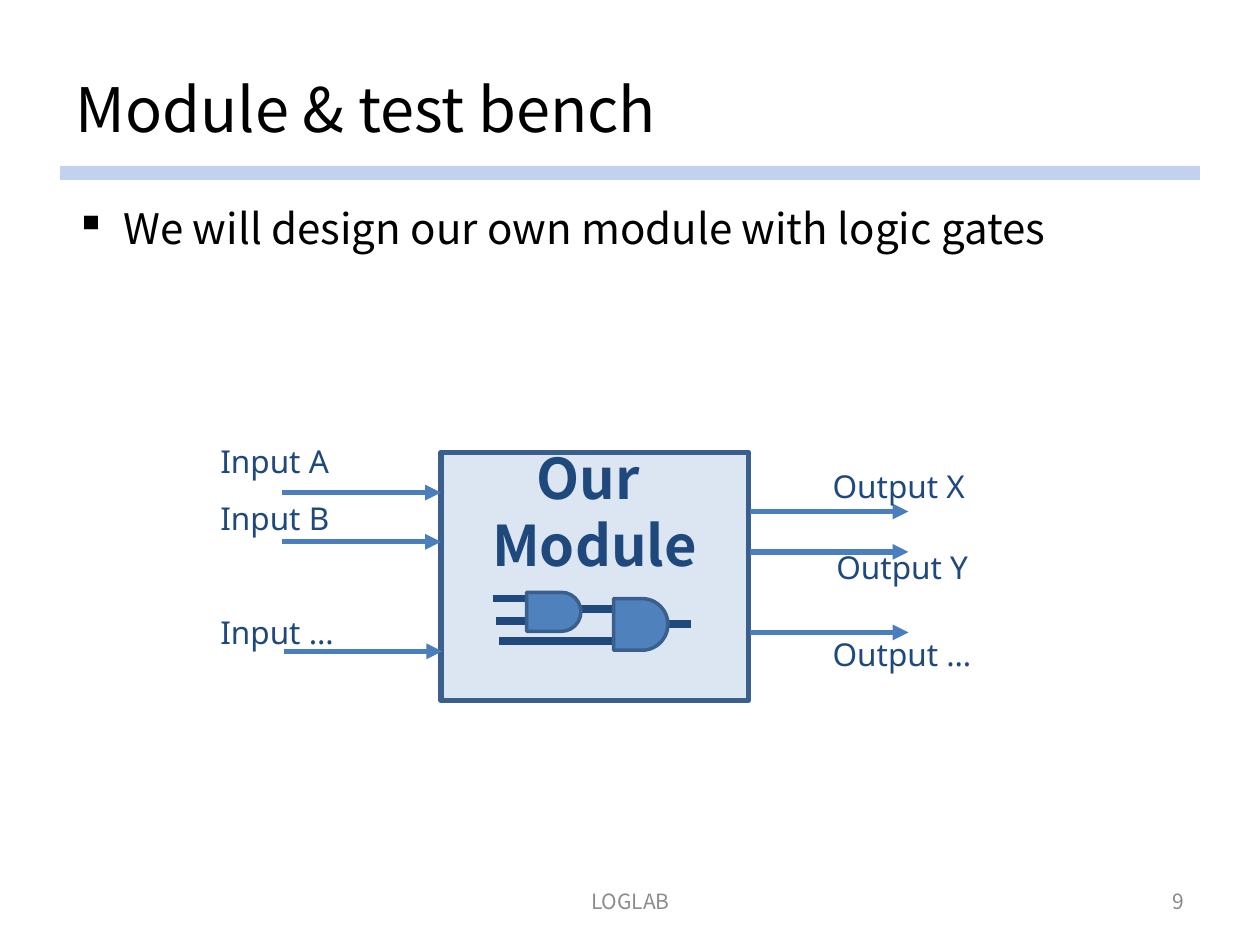
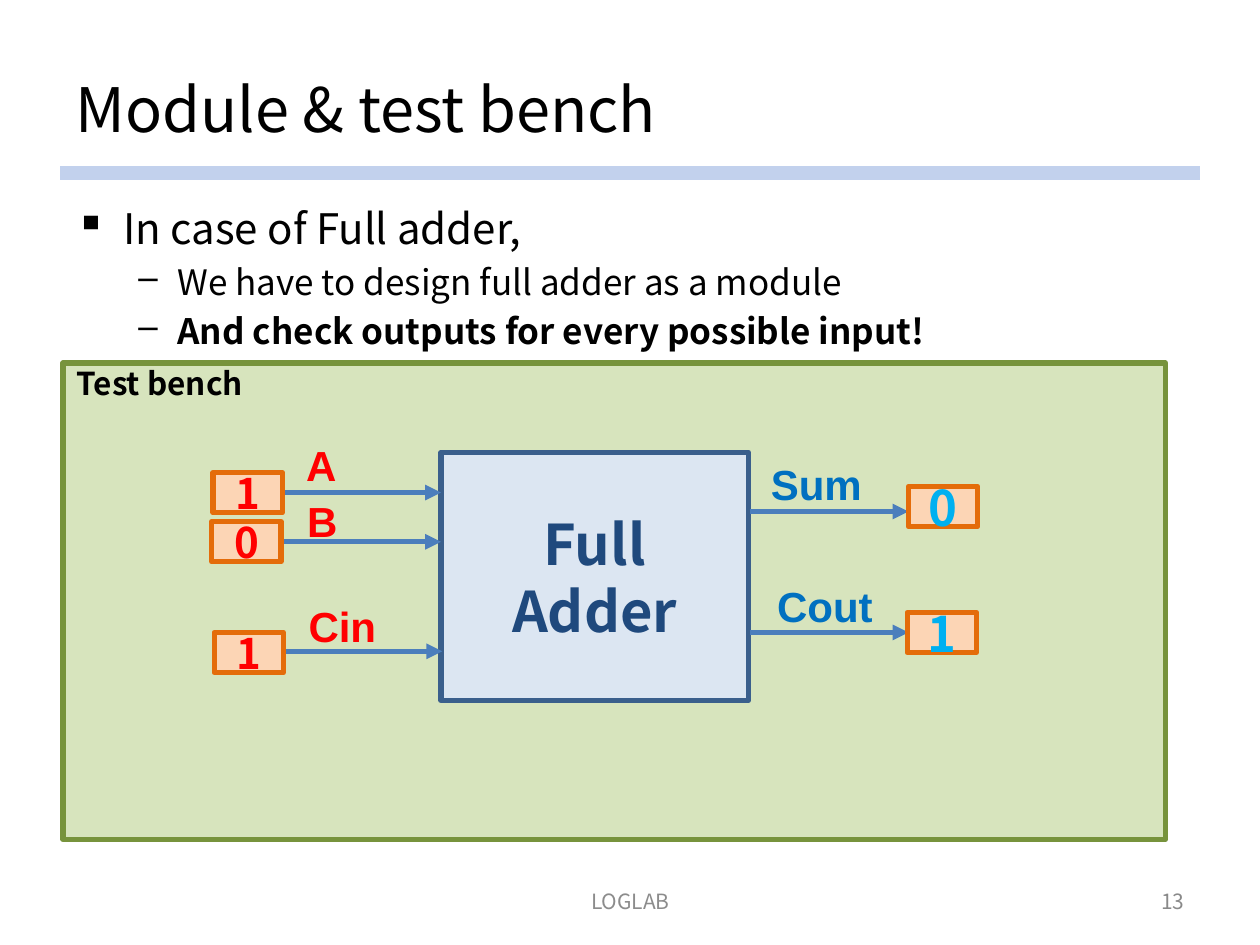
"""Build two slides on logic modules and their test bench."""
from lxml import etree
from pptx import Presentation
from pptx.dml.color import RGBColor
from pptx.enum.shapes import MSO_CONNECTOR, MSO_SHAPE
from pptx.enum.text import MSO_ANCHOR, PP_ALIGN
from pptx.oxml.ns import qn
from pptx.util import Pt

RECT, GATE = MSO_SHAPE.RECTANGLE, MSO_SHAPE.ROUND_2_SAME_RECTANGLE
STRAIGHT = MSO_CONNECTOR.STRAIGHT
TOP, MIDDLE = MSO_ANCHOR.TOP, MSO_ANCHOR.MIDDLE
LEFT, CENTER, RIGHT = PP_ALIGN.LEFT, PP_ALIGN.CENTER, PP_ALIGN.RIGHT

BLACK = RGBColor(0x00, 0x00, 0x00)
GRAY = RGBColor(0x8C, 0x8C, 0x8C)
SILVER = RGBColor(0x89, 0x89, 0x89)
PALE = RGBColor(0xC2, 0xD1, 0xED)
ICE = RGBColor(0xDC, 0xE6, 0xF2)
STEEL = RGBColor(0x3A, 0x5F, 0x8C)
NAVY = RGBColor(0x1F, 0x49, 0x7D)
BLUE = RGBColor(0x4B, 0x7E, 0xBC)
MID = RGBColor(0x4F, 0x81, 0xBD)
SEA = RGBColor(0x00, 0x70, 0xC0)
SKY = RGBColor(0x00, 0xB0, 0xF0)
RED = RGBColor(0xFF, 0x00, 0x00)
PEACH = RGBColor(0xFC, 0xD5, 0xB5)
ORANGE = RGBColor(0xE4, 0x6C, 0x0A)
LIME = RGBColor(0xD7, 0xE4, 0xBD)
GREEN = RGBColor(0x77, 0x93, 0x3C)

MAIN = "Noto Sans CJK KR"
HEAD = {"name": MAIN, "size": Pt(35)}
FOOT = {"name": MAIN, "size": Pt(12)}
BODY = {"name": MAIN, "size": Pt(24)}
SUB = {"name": MAIN, "size": Pt(20)}
STRONG = {**SUB, "bold": True}
BENCH = {"name": MAIN, "size": Pt(18), "bold": True}
BLOCK = {"name": MAIN, "size": Pt(32), "bold": True}
BIT_IN = {"name": MAIN, "size": Pt(24), "bold": True}
BIT_OUT = {**BIT_IN, "size": Pt(28)}
PORT = {"name": "Noto Sans", "size": Pt(18)}
PIN = {"name": "Arial", "size": Pt(24), "bold": True}

# Bullet mark, left margin and hanging indent by level.
MARKS = (("\u25aa", 27.4, 27.4), ("\u2013", 58.3, 22.3))
INPUTS = ((161.3, 281.5), (161.3, 309.6), (162, 372.2))
SUM_Y, SPARE_Y, COUT_Y = 292.3, 315.4, 361.4
REACH = 90.7


def place(shape, box):
    """Set the left, top, width and height of a shape."""
    for name, val in zip(("left", "top", "width", "height"), box):
        setattr(shape, name, Pt(val))


def style(run, fmt, color):
    """Give a run its font values and colour."""
    for name, val in fmt.items():
        setattr(run.font, name, val)
    run.font.color.rgb = color


def write(shape, lines, fmt, color, align=LEFT, anchor=TOP):
    """Fill a shape with lines of text in one style."""
    frame = shape.text_frame
    frame.word_wrap = True
    frame.vertical_anchor = anchor
    for i, line in enumerate(lines):
        para = frame.add_paragraph() if i else frame.paragraphs[0]
        para.alignment = align
        run = para.add_run()
        run.text = line
        style(run, fmt, color)


def label(slide, text, box, fmt, color, align=LEFT, anchor=TOP):
    """Add a text box of one line."""
    shape = slide.shapes.add_textbox(*map(Pt, box))
    write(shape, [text], fmt, color, align, anchor)


def panel(slide, box, fill, edge, width=3, kind=RECT):
    """Add a filled and outlined shape."""
    shape = slide.shapes.add_shape(kind, *map(Pt, box))
    shape.shadow.inherit = False
    shape.fill.solid()
    shape.fill.fore_color.rgb = fill
    shape.line.color.rgb = edge
    shape.line.width = Pt(width)
    return shape


def stroke(slide, x, y, end, color, width, arrow=False):
    """Add a level line, with an arrowhead on demand."""
    line = slide.shapes.add_connector(STRAIGHT, Pt(x), Pt(y), Pt(end), Pt(y))
    line.line.color.rgb = color
    line.line.width = Pt(width)
    props = line.element.spPr
    if arrow:
        etree.SubElement(props.find(qn("a:ln")), qn("a:tailEnd"), type="triangle")
    etree.SubElement(props, qn("a:effectLst"))


def arrows(slide, starts):
    """Add signal arrows of equal reach."""
    for x, y in starts:
        stroke(slide, x, y, x + REACH, BLUE, 3, arrow=True)


def points(slide, items):
    """Add the bulleted body text."""
    frame = slide.shapes.add_textbox(Pt(36), Pt(112.3), Pt(648), Pt(376.6)).text_frame
    frame.word_wrap = True
    for i, (level, text, fmt) in enumerate(items):
        para = frame.add_paragraph() if i else frame.paragraphs[0]
        mark, left, hang = MARKS[level]
        para.level = level
        para.space_before = Pt(fmt["size"].pt * 0.2)
        props = para._p.get_or_add_pPr()
        props.set("marL", str(Pt(left)))
        props.set("indent", str(-Pt(hang)))
        etree.SubElement(props, qn("a:buChar"), char=mark)
        run = para.add_run()
        run.text = text
        style(run, fmt, BLACK)


def start(deck, number):
    """Add a slide with its title, band and footer."""
    slide = deck.slides.add_slide(deck.slide_layouts[5])
    stroke(slide, 34.5, 98.6, 686, PALE, 8)
    title = slide.shapes.title
    place(title, (36, 21.6, 648, 79.9))
    write(title, ["Module & test bench"], HEAD, BLACK, LEFT, MIDDLE)
    label(slide, "LOGLAB", (246.2, 500.4, 228.2, 28.8), FOOT, GRAY, CENTER, MIDDLE)
    label(slide, number, (516.2, 500.4, 167.8, 28.8), FOOT, SILVER, RIGHT, MIDDLE)
    return slide


def module(slide, lines, anchor=MIDDLE):
    """Add the module block."""
    shape = panel(slide, (252, 258.5, 175.7, 141.8), ICE, STEEL)
    write(shape, lines, BLOCK, NAVY, CENTER, anchor)
    return shape


def gates(slide):
    """Draw two linked gates with their wires."""
    for x, y, end in ((313.9, 347.8, 376.6), (357.8, 356.4, 394.6),
                      (285.1, 366.5, 360), (283.7, 355, 320.4),
                      (281.5, 342, 318.2)):
        stroke(slide, x, y, end, NAVY, 4.5)
    for box in ((351.4, 341.3, 29.5, 31), (305.3, 334.1, 22.3, 31)):
        gate = panel(slide, box, MID, STEEL, 2, GATE)
        gate.adjustments[0] = 0.5
        gate.adjustments[1] = 0
        gate.rotation = 90


def design(deck):
    """Build the slide on the design of a module."""
    slide = start(deck, "9")
    points(slide, [(0, "We will design our own module with logic gates", BODY)])
    block = module(slide, ["Our ", "Module"], TOP)
    block.text_frame.margin_top = Pt(-5)
    arrows(slide, INPUTS)
    arrows(slide, [(428.4, y) for y in (SUM_Y, SPARE_Y, COUT_Y)])
    for text, x, y, width in (("Input A", 118.8, 249.1, 85),
                              ("Input B", 118.8, 281.5, 85),
                              ("Input \u2026 ", 118.8, 347, 85),
                              ("Output X", 468.7, 263.5, 112.3),
                              ("Output Y ", 470.9, 309.6, 110.2),
                              ("Output \u2026 ", 468.7, 359.3, 112.3)):
        label(slide, text, (x, y, width, 28.8), PORT, NAVY)
    gates(slide)


def bench(deck):
    """Build the slide on the test of a full adder."""
    slide = start(deck, "13")
    points(slide, [(0, "In case of Full adder,", BODY),
                   (1, "We have to design full adder as a module", SUB),
                   (1, "And check outputs for every possible input!", STRONG)])
    panel(slide, (36, 207.4, 630, 272.2), LIME, GREEN)
    module(slide, ["Full", "Adder"])
    arrows(slide, INPUTS)
    arrows(slide, [(428.4, y) for y in (SUM_Y, COUT_Y)])
    for text, x, y, fmt, color in (("1", 121.7, 270, BIT_IN, RED),
                                   ("0", 121, 298.1, BIT_IN, RED),
                                   ("1", 122.4, 361.4, BIT_IN, RED),
                                   ("0", 519.1, 277.9, BIT_OUT, SKY),
                                   ("1", 518.4, 349.9, BIT_OUT, SKY)):
        bit = panel(slide, (x, y, 39.6, 23), PEACH, ORANGE)
        write(bit, [text], fmt, color, CENTER, MIDDLE)
    label(slide, "Test bench", (36.7, 204.5, 345, 28.8), BENCH, BLACK)
    for text, x, y, width, color in (("A", 167.8, 247.7, 33.8, RED),
                                     ("B", 168.5, 279.4, 33.8, RED),
                                     ("Cin", 169.2, 339.8, 65.5, RED),
                                     ("Sum", 433.4, 258.5, 73.4, SEA),
                                     ("Cout", 437, 328.3, 73.4, SEA)):
        label(slide, text, (x, y, width, 36.7), PIN, color)


def main():
    """Build and save the deck."""
    deck = Presentation()
    deck.slide_width, deck.slide_height = Pt(720), Pt(540)
    design(deck)
    bench(deck)
    deck.save("out.pptx")


main()
